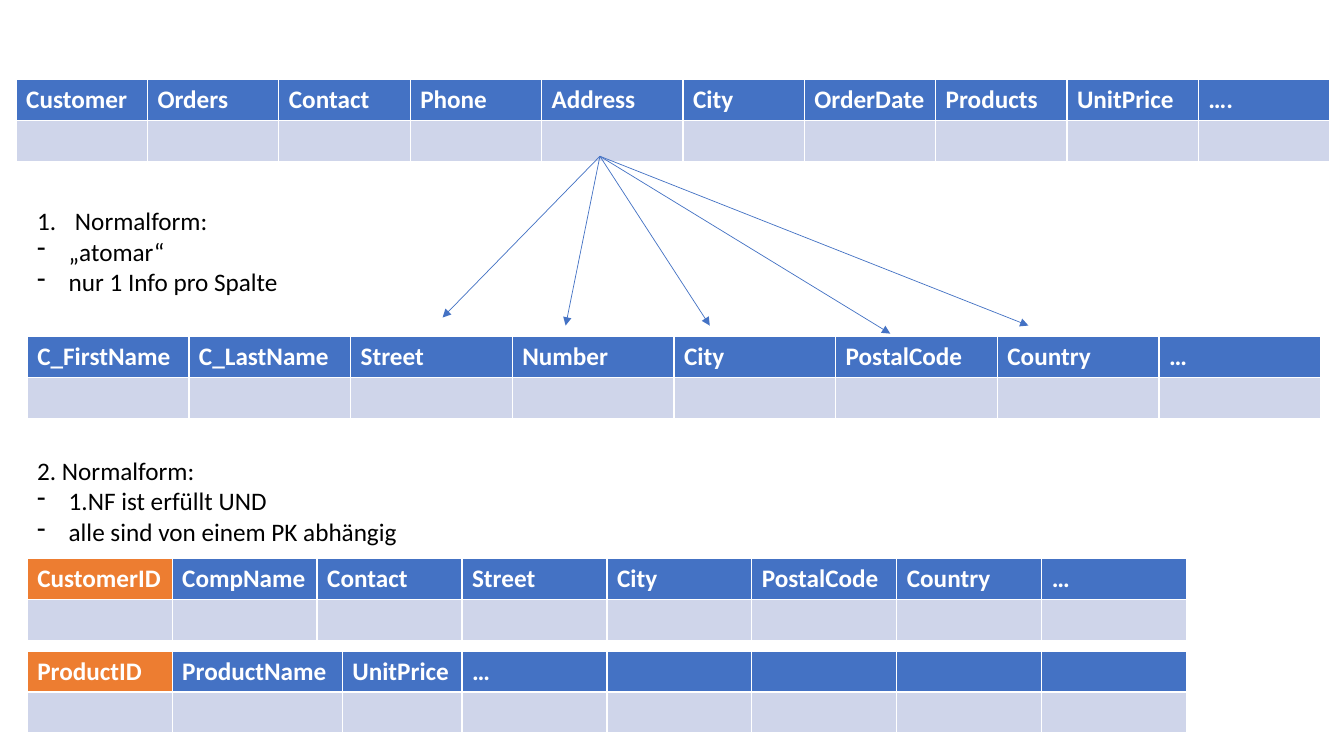
from lxml.etree import SubElement
from pptx import Presentation
from pptx.dml.color import RGBColor
from pptx.enum.shapes import MSO_CONNECTOR
from pptx.oxml.ns import qn
from pptx.util import Inches, Pt

COLORS = {"header": "4472C4", "key": "ED7D31", "body": "CFD5EA",
          "light": "FFFFFF", "text": "000000"}
FONT, SIZE = "Calibri", Pt(18)
LEFT, ROW = 0.27, 0.405

deck = Presentation()
deck.slide_width, deck.slide_height = Inches(13.33), Inches(7.5)
slide = deck.slides.add_slide(deck.slide_layouts[6])
shapes = slide.shapes


def rgb(name):
    return RGBColor.from_string(COLORS[name])


def style(paragraph, color, bold):
    font = paragraph.font
    font.name, font.size, font.bold = FONT, SIZE, bold
    font.color.rgb = rgb(color)


even = [1] * 8
relations = [
    (0.16, 0.79, 13.03, [1.3] * 4 + [1.4, 1.2] + [1.3] * 4,
     ["Customer", "Orders", "Contact", "Phone", "Address", "City",
      "OrderDate", "Products", "UnitPrice", "…."]),
    (LEFT, 3.34, 12.83, even,
     ["C_FirstName", "C_LastName", "Street", "Number", "City",
      "PostalCode", "Country", "…"]),
    (LEFT, 5.54, 11.5, even,
     ["CustomerID", "CompName", "Contact", "Street", "City",
      "PostalCode", "Country", "…"]),
    (LEFT, 6.46, 11.5, [1.44, 1.69, 1.19] + [1.44] * 5,
     ["ProductID", "ProductName", "UnitPrice", "…"] + [""] * 4),
]
for left, top, width, shares, fields in relations:
    relation = shapes.add_table(2, len(fields), Inches(left), Inches(top),
                                Inches(width), Inches(2 * ROW)).table
    for row in relation.rows:
        row.height = Inches(ROW)
    for index, (share, field) in enumerate(zip(shares, fields)):
        relation.columns[index].width = Inches(width * share / sum(shares))
        head, value = relation.cell(0, index), relation.cell(1, index)
        head.text = field
        is_key = field in ("CustomerID", "ProductID")
        for cell, fill in ((head, "key" if is_key else "header"), (value, "body")):
            cell.fill.solid()
            cell.fill.fore_color.rgb = rgb(fill)
        style(head.text_frame.paragraphs[0], "light", True)
        style(value.text_frame.paragraphs[0], "text", False)

address = (5.95, 1.55)
for target in [(4.39, 3.15), (5.61, 3.23), (7.04, 3.23), (8.83, 3.31), (10.2, 3.23)]:
    arrow = shapes.add_connector(MSO_CONNECTOR.STRAIGHT,
                                 *map(Inches, address + target))
    arrow.line.color.rgb = rgb("header")
    arrow.line.width = Pt(0.5)
    SubElement(arrow.line._get_or_add_ln(), qn("a:tailEnd"), type="triangle")
    SubElement(arrow._element.spPr, qn("a:effectLst"))

rules = [
    (1.99, 2.85, [("1.", 0.375, "Normalform:"), ("-", 0.3125, "„atomar“"),
                  ("-", 0.3125, "nur 1 Info pro Spalte")]),
    (4.47, 4.11, [("", 0, "2. Normalform:"), ("-", 0.3125, "1.NF ist erfüllt UND"),
                  ("-", 0.3125, "alle sind von einem PK abhängig")]),
]
for top, width, lines in rules:
    rule = shapes.add_textbox(Inches(LEFT), Inches(top), Inches(width),
                              Inches(1.01)).text_frame
    rule.word_wrap = True
    for index, (bullet, indent, wording) in enumerate(lines):
        line = rule.add_paragraph() if index else rule.paragraphs[0]
        line.text = wording
        style(line, "text", False)
        if bullet:
            props = line._p.get_or_add_pPr()
            props.set("marL", str(Inches(indent)))
            props.set("indent", str(-Inches(indent)))
            if bullet == "-":
                mark = SubElement(props, qn("a:buChar"), char=bullet)
            else:
                mark = SubElement(props, qn("a:buAutoNum"), type="arabicPeriod")
            props.insert(0, mark)

deck.save("out.pptx")
